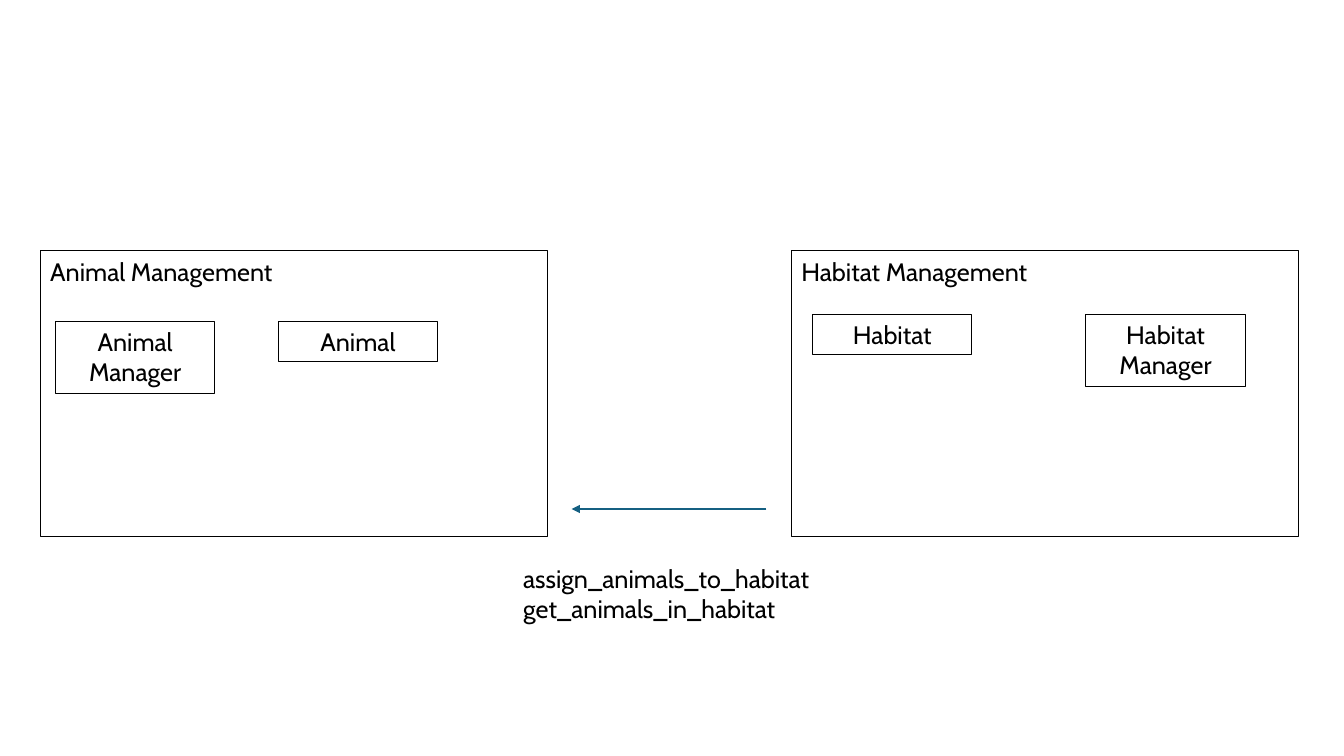
from dataclasses import dataclass

from lxml.etree import SubElement
from pptx import Presentation
from pptx.dml.color import RGBColor
from pptx.enum.shapes import MSO_CONNECTOR, MSO_SHAPE
from pptx.enum.text import MSO_ANCHOR, MSO_AUTO_SIZE, PP_ALIGN
from pptx.oxml.ns import qn
from pptx.slide import Slide
from pptx.text.text import TextFrame
from pptx.util import Inches, Pt

COLOURS = {"ink": "000000", "arrow": "156082"}
FONT = "Cabin"
PANEL_TOP, PANEL_WIDTH, PANEL_HEIGHT = 2.49, 5.03, 2.83
CLASS_WIDTH = 1.58
ONE_LINE, TWO_LINES = 0.4, 0.71


@dataclass(frozen=True)
class Box:
    lines: tuple[str, ...]
    left: float
    top: float
    width: float = CLASS_WIDTH
    height: float = ONE_LINE
    align: PP_ALIGN = PP_ALIGN.CENTER


def panel(title: str, left: float) -> Box:
    return Box((title,), left, PANEL_TOP, PANEL_WIDTH, PANEL_HEIGHT, PP_ALIGN.LEFT)


BOXES = (
    panel("Animal Management", 0.4),
    Box(("Animal", "Manager"), 0.55, 3.19, height=TWO_LINES),
    Box(("Animal",), 2.76, 3.19),
    panel("Habitat Management", 7.85),
    Box(("Habitat",), 8.06, 3.12),
    Box(("Habitat Manager",), 10.77, 3.12, height=TWO_LINES),
)
CALLS = Box(
    ("assign_animals_to_habitat", "get_animals_in_habitat"),
    5.09, 5.54, 3.11, TWO_LINES, PP_ALIGN.LEFT,
)


def colour(name: str) -> RGBColor:
    return RGBColor.from_string(COLOURS[name])


def write_lines(frame: TextFrame, box: Box) -> None:
    frame.vertical_anchor = MSO_ANCHOR.TOP
    for index, line in enumerate(box.lines):
        para = frame.add_paragraph() if index else frame.paragraphs[0]
        para.alignment = box.align
        span = para.add_run()
        span.text = line
        span.font.name = FONT
        span.font.size = Pt(18)
        span.font.color.rgb = colour("ink")


def place(box: Box) -> tuple[Inches, ...]:
    return tuple(Inches(n) for n in (box.left, box.top, box.width, box.height))


def draw_box(page: Slide, box: Box) -> None:
    shape = page.shapes.add_shape(MSO_SHAPE.RECTANGLE, *place(box))
    shape.shadow.inherit = False
    shape.fill.background()
    shape.line.color.rgb = colour("ink")
    shape.line.width = Pt(0.75)
    shape.text_frame.word_wrap = True
    write_lines(shape.text_frame, box)


def draw_label(page: Slide, box: Box) -> None:
    frame = page.shapes.add_textbox(*place(box)).text_frame
    frame.word_wrap = False
    frame.auto_size = MSO_AUTO_SIZE.SHAPE_TO_FIT_TEXT
    write_lines(frame, box)


def draw_arrow(page: Slide, start: float, end: float, height: float) -> None:
    arrow = page.shapes.add_connector(
        MSO_CONNECTOR.STRAIGHT,
        Inches(start), Inches(height), Inches(end), Inches(height),
    )
    arrow.line.color.rgb = colour("arrow")
    arrow.line.width = Pt(1.5)
    SubElement(arrow.line._get_or_add_ln(), qn("a:tailEnd"), type="triangle")
    SubElement(arrow._element.spPr, qn("a:effectLst"))


def main() -> None:
    deck = Presentation()
    deck.slide_width, deck.slide_height = Inches(13.33), Inches(7.5)
    page = deck.slides.add_slide(deck.slide_layouts[6])
    for box in BOXES:
        draw_box(page, box)
    draw_arrow(page, 7.6, 5.67, 5.05)
    draw_label(page, CALLS)
    deck.save("out.pptx")


if __name__ == "__main__":
    main()
